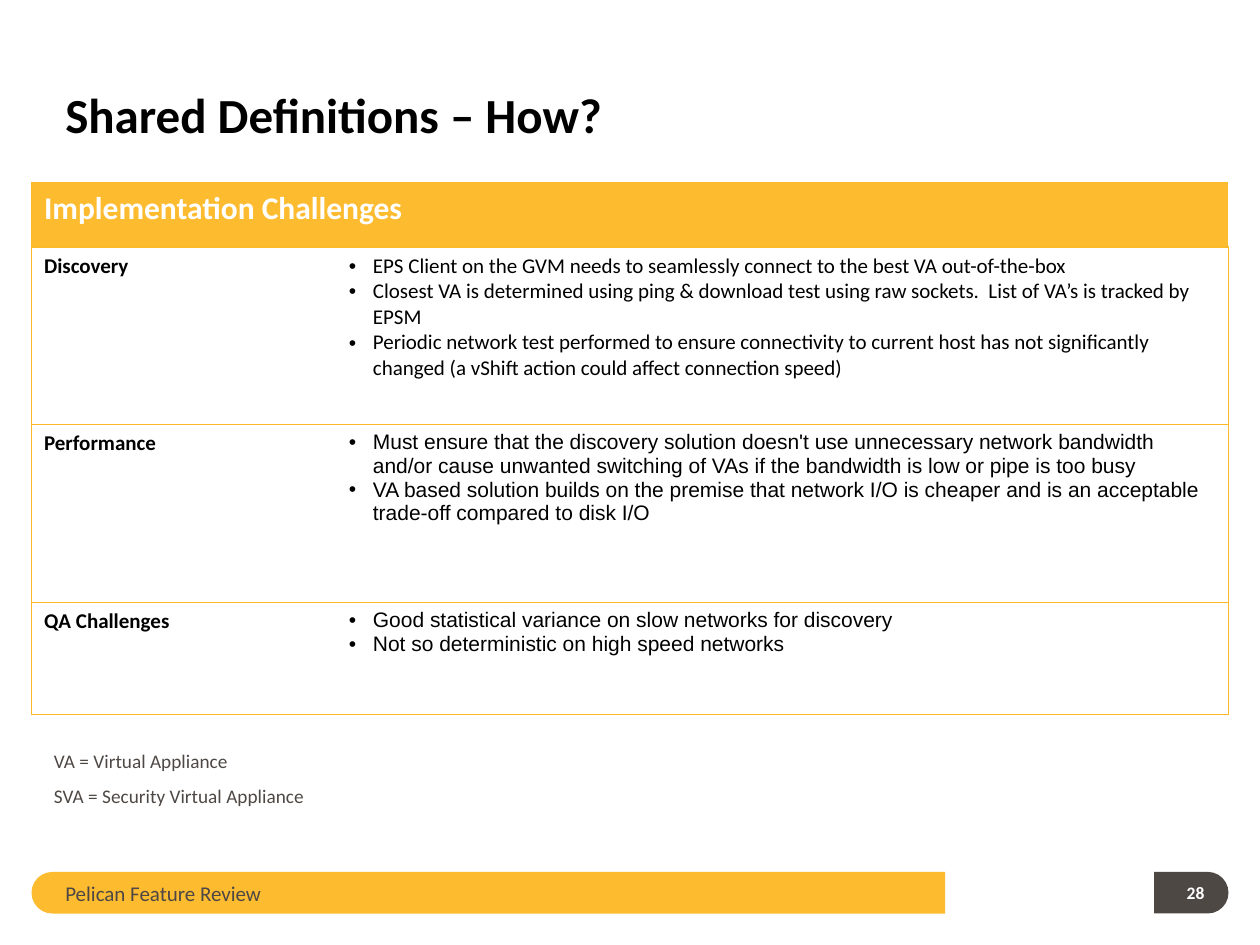
from lxml import etree
from pptx import Presentation
from pptx.dml.color import RGBColor
from pptx.enum.shapes import MSO_SHAPE
from pptx.enum.text import MSO_ANCHOR, PP_ALIGN
from pptx.oxml.ns import qn
from pptx.util import Inches, Pt

ROUND_TOP = MSO_SHAPE.ROUND_2_SAME_RECTANGLE
TOP, MIDDLE, BOTTOM = MSO_ANCHOR.TOP, MSO_ANCHOR.MIDDLE, MSO_ANCHOR.BOTTOM
LEFT = PP_ALIGN.LEFT
COLORS = {"gold": "FDBB30", "border": "FCB92A", "gray": "4E4845",
          "black": "000000", "white": "FFFFFF"}

CHALLENGES = [
    ("Discovery", "Calibri", [
        "EPS Client on the GVM needs to seamlessly connect to the best VA out-of-the-box",
        "Closest VA is determined using ping & download test using raw sockets.  "
        "List of VA’s is tracked by EPSM",
        "Periodic network test performed to ensure connectivity to current host has not "
        "significantly changed (a vShift action could affect connection speed)"]),
    ("Performance", "Arial", [
        "Must ensure that the discovery solution doesn't use unnecessary network bandwidth "
        "and/or cause unwanted switching of VAs if the bandwidth is low or pipe is too busy",
        "VA based solution builds on the premise that network I/O is cheaper and is an "
        "acceptable trade-off compared to disk I/O"]),
    ("QA Challenges", "Arial", [
        "Good statistical variance on slow networks for discovery",
        "Not so deterministic on high speed networks"]),
]


def write_text(frame, lines, size=12, font="Calibri", color="black", bold=False,
               spacing=None, after=None, bullet=False):
    """Fill a text frame with one formatted paragraph per line."""
    for index, line in enumerate(lines):
        paragraph = frame.add_paragraph() if index else frame.paragraphs[0]
        paragraph.alignment = LEFT
        if spacing:
            paragraph.line_spacing = spacing
        if after:
            paragraph.space_after = Pt(after)
        if bullet:
            properties = paragraph._p.get_or_add_pPr()
            properties.set("marL", str(Inches(0.19)))
            properties.set("indent", str(-Inches(0.19)))
            etree.SubElement(properties, qn("a:buFont"), typeface="Arial")
            etree.SubElement(properties, qn("a:buChar"), char="•")
        run = paragraph.add_run()
        run.text = line
        run.font.size, run.font.name, run.font.bold = Pt(size), font, bold
        run.font.color.rgb = RGBColor.from_string(COLORS[color])


class SlideBuilder:
    def __init__(self, slide):
        self.slide = slide
        self.border_width = Pt(0.75)

    def end_cap(self, left, top, width, height, rotation, color):
        cap = self.slide.shapes.add_shape(
            ROUND_TOP, Inches(left), Inches(top), Inches(width), Inches(height))
        cap.adjustments[0], cap.adjustments[1] = 0.5, 0
        cap.rotation = rotation
        cap.shadow.inherit = False
        cap.fill.solid()
        cap.fill.fore_color.rgb = RGBColor.from_string(COLORS[color])
        cap.line.fill.background()

    def text(self, left, top, width, height, lines, anchor=TOP, **style):
        box = self.slide.shapes.add_textbox(
            Inches(left), Inches(top), Inches(width), Inches(height))
        frame = box.text_frame
        frame.word_wrap, frame.vertical_anchor = True, anchor
        frame.margin_left = frame.margin_right = Inches(0.1)
        frame.margin_top = frame.margin_bottom = Inches(0.05)
        write_text(frame, lines, **style)

    def borders(self, cell, sides):
        properties = cell._tc.get_or_add_tcPr()
        for side in "LRTB":
            line = etree.SubElement(properties, qn(f"a:ln{side}"),
                                    w=str(self.border_width))
            if side in sides:
                fill = etree.SubElement(line, qn("a:solidFill"))
                etree.SubElement(fill, qn("a:srgbClr"), val=COLORS["border"])
            else:
                etree.SubElement(line, qn("a:noFill"))

    def table(self, left, top, columns, rows, heading, challenges):
        table = self.slide.shapes.add_table(
            len(rows), len(columns), Inches(left), Inches(top),
            Inches(sum(columns)), Inches(sum(rows))).table
        table.first_row = table.horz_banding = False
        for column, width in zip(table.columns, columns):
            column.width = Inches(width)
        for row, height in zip(table.rows, rows):
            row.height = Inches(height)
            for cell, sides in zip(row.cells, ("LTB", "RTB")):
                self.borders(cell, sides)
                cell.fill.background()

        # Heading across both columns
        title = table.cell(0, 0)
        title.merge(table.cell(0, 1))
        title.fill.solid()
        title.fill.fore_color.rgb = RGBColor.from_string(COLORS["gold"])
        write_text(title.text_frame, [heading], size=18, color="white", bold=True)

        # One row for each challenge
        for number, (topic, font, points) in enumerate(challenges, 1):
            write_text(table.cell(number, 0).text_frame, [topic], bold=True)
            write_text(table.cell(number, 1).text_frame, points, font=font, bullet=True)


def main():
    deck = Presentation()
    deck.slide_width, deck.slide_height = Inches(10), Inches(7.5)
    page = SlideBuilder(deck.slides.add_slide(deck.slide_layouts[6]))

    # Footer bar and page number tab
    page.end_cap(3.71, 3.46, 0.33, 7.25, 270, "gold")
    page.end_cap(9.29, 6.79, 0.33, 0.59, 90, "gray")

    # Title
    page.text(0.42, 0.27, 9.17, 0.92, ["Shared Definitions – How?"], anchor=BOTTOM,
              size=28, bold=True, spacing=0.9)

    # Footer text and page number
    page.text(0.42, 6.93, 4.58, 0.31, ["Pelican Feature Review"], anchor=MIDDLE,
              color="gray")
    page.text(9.32, 6.93, 0.4, 0.31, ["28"], anchor=MIDDLE,
              size=10, color="white", bold=True)

    # Challenges table
    page.table(0.25, 1.45, [2.42, 7.08], [0.51, 1.41, 1.41, 0.89],
               "Implementation Challenges", CHALLENGES)

    # Abbreviations
    page.text(0.33, 5.92, 9, 0.75,
              ["VA = Virtual Appliance", "SVA = Security Virtual Appliance"],
              size=11, color="gray", spacing=0.9, after=8)

    deck.save("out.pptx")


if __name__ == "__main__":
    main()
